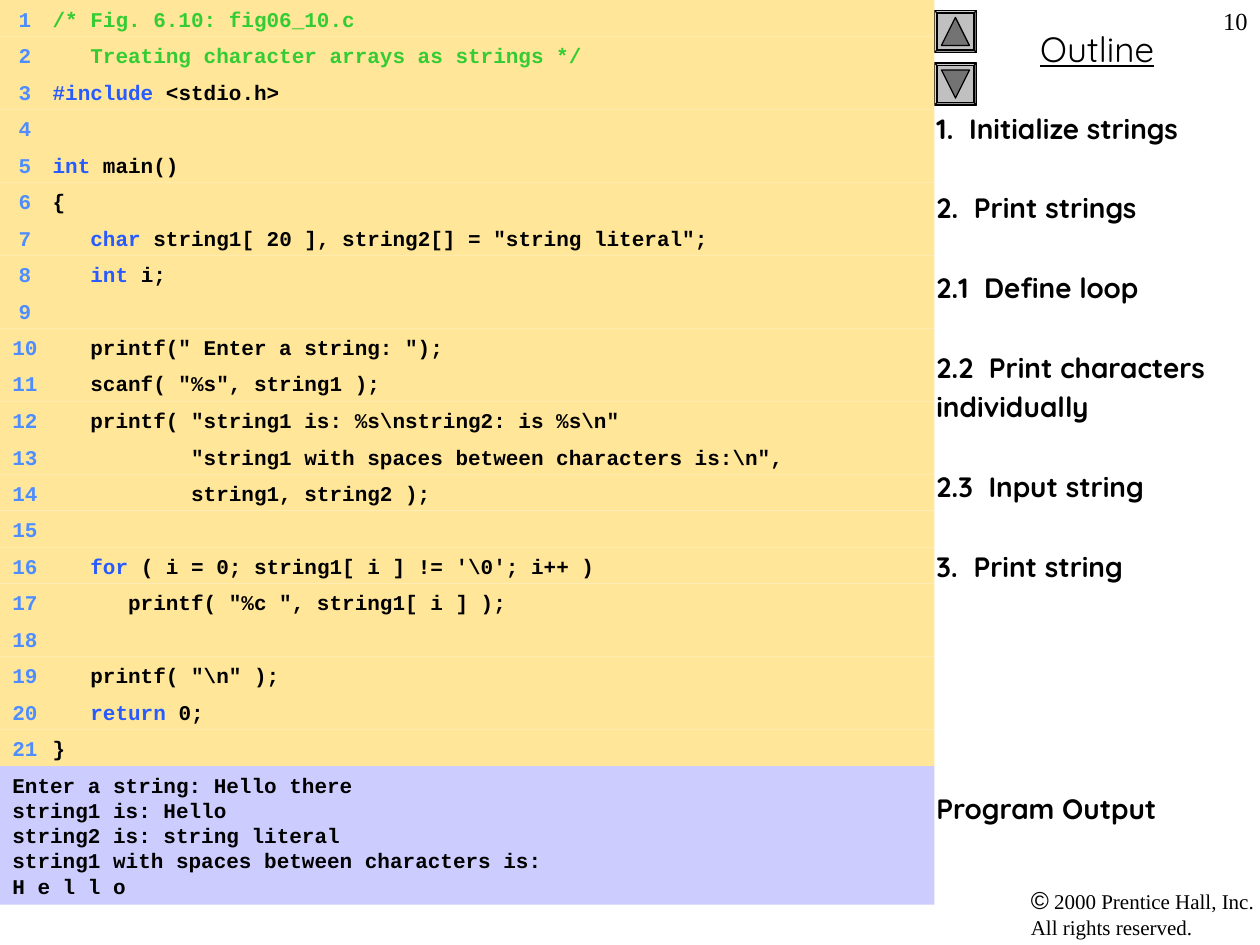
"""Builds a code listing slide with its program output and an outline column."""
from pptx import Presentation
from pptx.dml.color import RGBColor as Rgb
from pptx.enum.shapes import MSO_SHAPE as Kind
from pptx.enum.text import MSO_ANCHOR as Anchor, PP_ALIGN as Align
from pptx.oxml import parse_xml
from pptx.oxml.ns import nsdecls
from pptx.util import Pt

HUES = {"ink": "000000", "code": "FFE699", "out": "CCCCFF", "num": "4D8DFF",
        "note": "33CC33", "key": "275AFF", "face": "C0C0C0", "arrow": "737373"}
MONO, SANS, SERIF = "Courier New", "Quicksand", "Times New Roman"
WIDE, ROW = 534, 20.85
KEYS = ("#include", "int", "char", "for", "return")
CODE = r'''/* Fig. 6.10: fig06_10.c
   Treating character arrays as strings */
#include <stdio.h>

int main()
{
   char string1[ 20 ], string2[] = "string literal";
   int i;

   printf(" Enter a string: ");
   scanf( "%s", string1 );
   printf( "string1 is: %s\nstring2: is %s\n"
           "string1 with spaces between characters is:\n",
           string1, string2 );

   for ( i = 0; string1[ i ] != '\0'; i++ )
      printf( "%c ", string1[ i ] );

   printf( "\n" );
   return 0;
}'''.split("\n")
OUTPUT = ["Enter a string: Hello there", "string1 is: Hello",
          "string2 is: string literal",
          "string1 with spaces between characters is:", "H e l l o"]
TOPICS = [("1.  Initialize strings", 0), ("2.  Print strings", 26.4),
          ("2.1  Define loop", 26.4), ("2.2  Print characters", 26.4),
          ("individually", 3.2), ("2.3  Input string", 26.4),
          ("3.  Print string", 26.4), ("Program Output", 119.2)]


def hue(name):
    return Rgb.from_string(HUES[name])


def style(font, face, size, tint="ink", bold=False):
    font.name, font.size, font.bold = face, Pt(size), bold
    font.color.rgb = hue(tint)


def add_run(para, text, tint):
    run = para.add_run()
    run.text = text
    run.font.color.rgb = hue(tint)


def add_form(slide, kind, box, fill, line=None):
    form = slide.shapes.add_shape(kind, *map(Pt, box))
    form.shadow.inherit = False
    form.fill.solid()
    form.fill.fore_color.rgb = hue(fill)
    if line:
        form.line.color.rgb = hue(line)
        form.line.width = Pt(0.75)
    else:
        form.line.fill.background()
    return form


def add_panel(slide, top, high, fill):
    frame = add_form(slide, Kind.RECTANGLE, (0, top, WIDE, high), fill).text_frame
    frame.vertical_anchor, frame.word_wrap = Anchor.TOP, True
    return frame


def add_box(slide, box, wrap=True):
    frame = slide.shapes.add_textbox(*map(Pt, box)).text_frame
    frame.word_wrap = wrap
    return frame


def add_lines(frame, lines, face, size, bold=False, align=Align.LEFT):
    for spot, (text, gap) in enumerate(lines):
        para = frame.add_paragraph() if spot else frame.paragraphs[0]
        para.text, para.alignment = text, align
        if gap:
            para.space_before = Pt(gap)
        style(para.font, face, size, bold=bold)


def set_tabs(para, stops):
    tabs = "".join(f'<a:tab pos="{Pt(pos)}" algn="{side}"/>' for pos, side in stops)
    para._p.get_or_add_pPr().append(
        parse_xml(f'<a:tabLst {nsdecls("a")}>{tabs}</a:tabLst>'))


def add_code(slide, index, line):
    para = add_panel(slide, index * ROW, ROW, "code").paragraphs[0]
    para.alignment = Align.LEFT
    set_tabs(para, [(10.8, "r"), (23, "l")])
    style(para.font, MONO, 12, bold=True)
    add_run(para, f"\t{index + 1}\t", "num")
    bare = line.lstrip()
    word = bare.split(" ")[0]
    if index < 2:
        add_run(para, line, "note")
    elif word in KEYS:
        cut = len(line) - len(bare) + len(word)
        add_run(para, line[:cut], "key")
        add_run(para, line[cut:], "ink")
    elif line:
        add_run(para, line, "ink")


def add_button(slide, top, turn):
    face = add_form(slide, Kind.BEVEL, (WIDE, top, 24, 24), "face", "ink")
    face.adjustments[0] = 0.06
    mark = add_form(slide, Kind.ISOSCELES_TRIANGLE,
                    (WIDE + 4, top + 4, 16, 16), "arrow", "ink")
    mark.rotation = turn


def add_credit(slide):
    para = add_box(slide, (582, 502, 282, 39), wrap=False).paragraphs[0]
    style(para.font, SERIF, 12)
    sign = para.add_run()
    sign.text = "©"
    style(sign.font, "Arial", 14)
    para.add_run().text = " 2000 Prentice Hall, Inc."
    para.add_line_break()
    para.add_run().text = "All rights reserved."


def main():
    deck = Presentation()
    deck.slide_width, deck.slide_height = Pt(720), Pt(540)
    slide = deck.slides.add_slide(deck.slide_layouts[6])
    title = add_box(slide, (WIDE, 12, 186, 32))
    add_lines(title, [("Outline", 0)], SANS, 20, align=Align.CENTER)
    title.paragraphs[0].font.underline = True
    add_button(slide, 6, 0)
    add_button(slide, 36, 180)
    add_credit(slide)
    add_lines(add_box(slide, (528, 60, 192, 480)), TOPICS, SANS, 16, bold=True)
    for index, line in enumerate(CODE):
        add_code(slide, index, line)
    shown = add_panel(slide, len(CODE) * ROW, 79.2, "out")
    add_lines(shown, [(text, 0) for text in OUTPUT], MONO, 12, bold=True)
    page = add_box(slide, (570, 0, 150, 36))
    add_lines(page, [("10", 0)], SERIF, 14, align=Align.RIGHT)
    deck.save("out.pptx")


if __name__ == "__main__":
    main()
